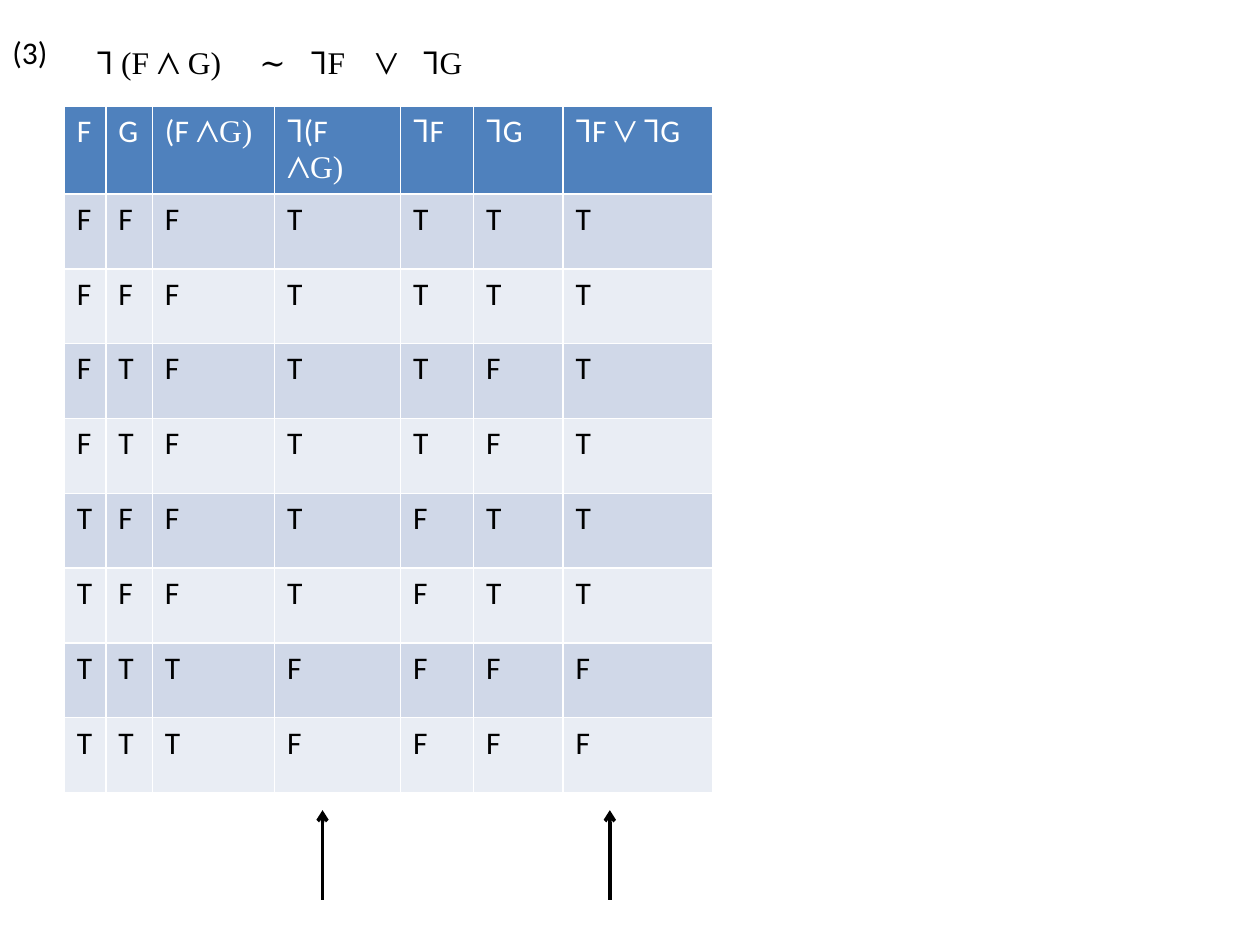
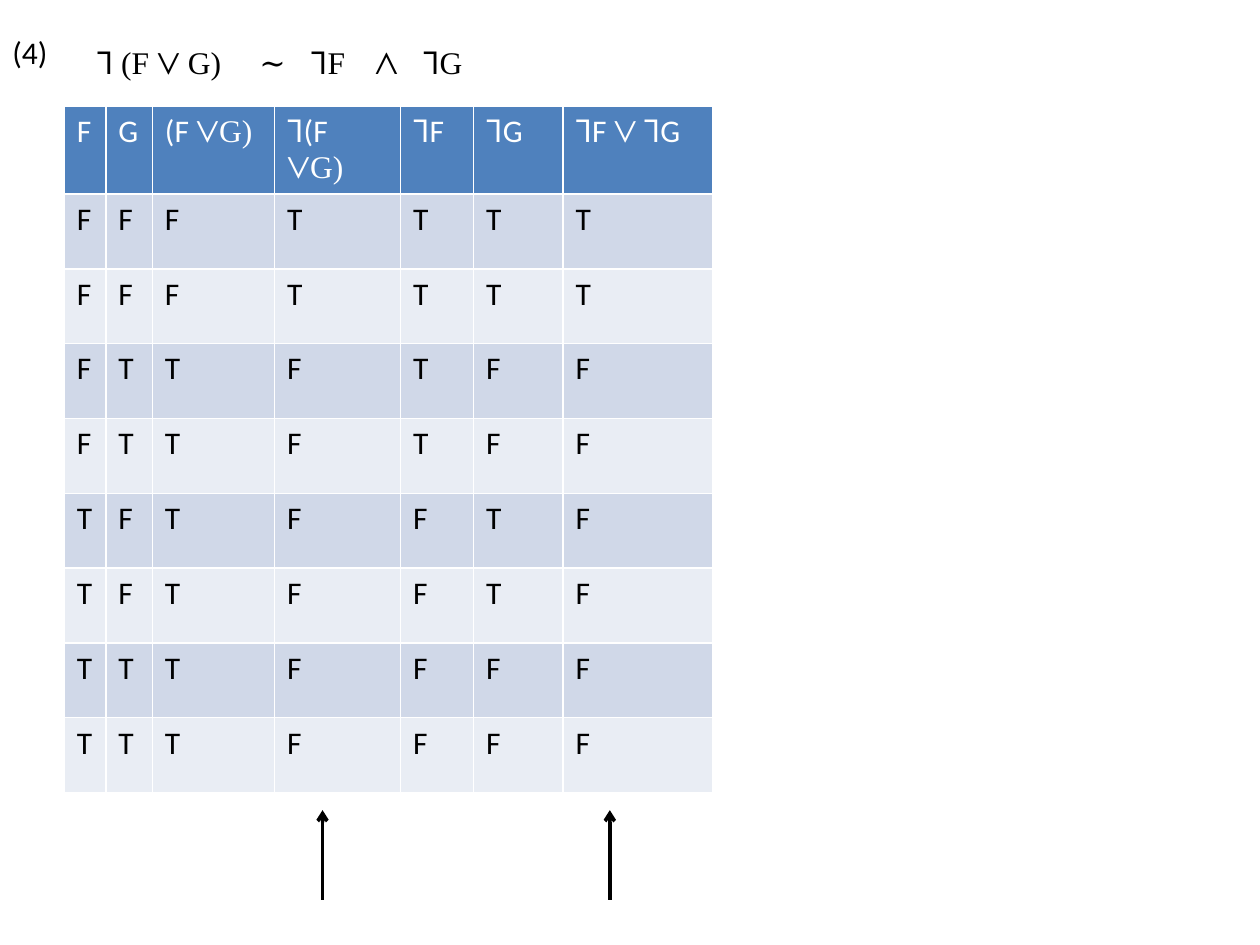
from itertools import product

from lxml import etree
from pptx import Presentation
from pptx import util as u
from pptx.dml.color import RGBColor
from pptx.enum import shapes, text
from pptx.oxml.ns import qn

COLOURS = {
    "ink": "000000",
    "header_text": "FFFFFF",
    "header": "4F81BD",
    "band_dark": "D0D8E8",
    "band_light": "E9EDF4",
}
BODY_FONT = "Calibri"
SYMBOL_FONT = "Times New Roman"
FONT_FORMAT = {"size": u.Pt(18), "bold": False}
BOX_FORMAT = {"word_wrap": True, "auto_size": text.MSO_AUTO_SIZE.SHAPE_TO_FIT_TEXT}

TABLE_LEFT, TABLE_TOP, TABLE_HEIGHT = 0.51, 0.84, 5.45
COLUMN_WIDTHS = [0.33, 0.37, 0.97, 1, 0.58, 0.71, 1.19]
HEADER_HEIGHT = 0.7
FORMULA_TABS = [1.29, 1.7, 2.21, 2.59]
ARROW_CENTRES = [2.56, 4.84]
ARROW_BOTTOM, ARROW_TOP = 7.14, 6.43

AND, OR = "⋀", "⋁"
OPERATIONS = {AND: min, OR: max}


def colour(name):
    """Return the named colour."""
    return RGBColor.from_string(COLOURS[name])


def add_span(para, words, font_name, colour_name):
    """Append one formatted span, with its font set for every script."""
    span = para.add_run()
    span.text = words
    for attribute, value in {**FONT_FORMAT, "name": font_name}.items():
        setattr(span.font, attribute, value)
    span.font.color.rgb = colour(colour_name)
    for script in ("a:ea", "a:cs"):
        etree.SubElement(span._r.get_or_add_rPr(), qn(script), typeface=font_name)


def add_text(page, words, font_name, left, top, width, tabs=()):
    """Add a one-line text box, with tab stops where wanted."""
    box = page.shapes.add_textbox(*map(u.Inches, (left, top, width, 0.4)))
    for attribute, value in BOX_FORMAT.items():
        setattr(box.text_frame, attribute, value)
    para = box.text_frame.paragraphs[0]
    add_span(para, words, font_name, "ink")
    if tabs:
        tab_list = etree.SubElement(para._p.get_or_add_pPr(), qn("a:tabLst"))
        for position in tabs:
            etree.SubElement(tab_list, qn("a:tab"), pos=str(u.Inches(position)), algn="l")


def truth_rows(inner, outer):
    """Return the truth values of both sides, each case listed twice."""
    rows = []
    for f, g in product((False, True), repeat=2):
        joined = OPERATIONS[inner](f, g)
        negated = OPERATIONS[outer](not f, not g)
        values = (f, g, joined, not joined, not f, not g, negated)
        rows += [["T" if value else "F" for value in values]] * 2
    return rows


def fill_cell(cell, label, fill, text_colour):
    """Fill a cell, with body and symbol fonts alternating at each bar."""
    cell.fill.solid()
    cell.fill.fore_color.rgb = colour(fill)
    para = cell.text_frame.paragraphs[0]
    for index, words in enumerate(label.split("|")):
        if words:
            add_span(para, words, SYMBOL_FONT if index % 2 else BODY_FONT, text_colour)


def add_truth_table(page, inner, outer):
    """Add the truth table that compares both sides of the law."""
    header = ["F", "G", f"(F |{inner}G)", f"|⅂|(F |{inner}G)", "|⅂|F", "|⅂|G", f"|⅂|F |{OR}| |⅂|G"]
    body = truth_rows(inner, outer)
    rows = [header] + body
    row_height = (TABLE_HEIGHT - HEADER_HEIGHT) / len(body)
    size = (sum(COLUMN_WIDTHS), TABLE_HEIGHT)
    frame = page.shapes.add_table(
        len(rows), len(header), *map(u.Inches, (TABLE_LEFT, TABLE_TOP, *size)))
    table = frame.table
    for column, width in zip(table.columns, COLUMN_WIDTHS):
        column.width = u.Inches(width)
    for row_index, labels in enumerate(rows):
        if row_index == 0:
            height, fill, text_colour = HEADER_HEIGHT, "header", "header_text"
        else:
            height, text_colour = row_height, "ink"
            fill = "band_dark" if row_index % 2 else "band_light"
        table.rows[row_index].height = u.Inches(height)
        for column_index, label in enumerate(labels):
            fill_cell(table.cell(row_index, column_index), label, fill, text_colour)


def add_up_arrow(page, centre):
    """Add an arrow pointing up at a column of the table."""
    ends = (centre, ARROW_BOTTOM, centre, ARROW_TOP)
    arrow = page.shapes.add_connector(shapes.MSO_CONNECTOR.STRAIGHT, *map(u.Inches, ends))
    arrow.line.width = u.Pt(2)
    arrow.line.color.rgb = colour("ink")
    etree.SubElement(arrow.line._get_or_add_ln(), qn("a:tailEnd"), type="arrow")
    etree.SubElement(arrow._element.spPr, qn("a:effectLst"))


def add_law_page(deck, number, inner, outer):
    """Add one page that proves a law of negation."""
    page = deck.slides.add_slide(deck.slide_layouts[6])
    add_truth_table(page, inner, outer)
    for centre in ARROW_CENTRES:
        add_up_arrow(page, centre)
    add_text(page, f"({number})", BODY_FONT, 0, 0.21, 0.59)
    formula = "\t".join([f"⅂ (F {inner} G)", "∼", "⅂F", outer, "⅂G"])
    add_text(page, formula, SYMBOL_FONT, 0.67, 0.29, 3.54, FORMULA_TABS)


def main():
    """Build and save the deck."""
    deck = Presentation()
    deck.slide_width, deck.slide_height = u.Inches(10), u.Inches(7.5)
    add_law_page(deck, 3, AND, OR)
    add_law_page(deck, 4, OR, AND)
    deck.save("out.pptx")


if __name__ == "__main__":
    main()
